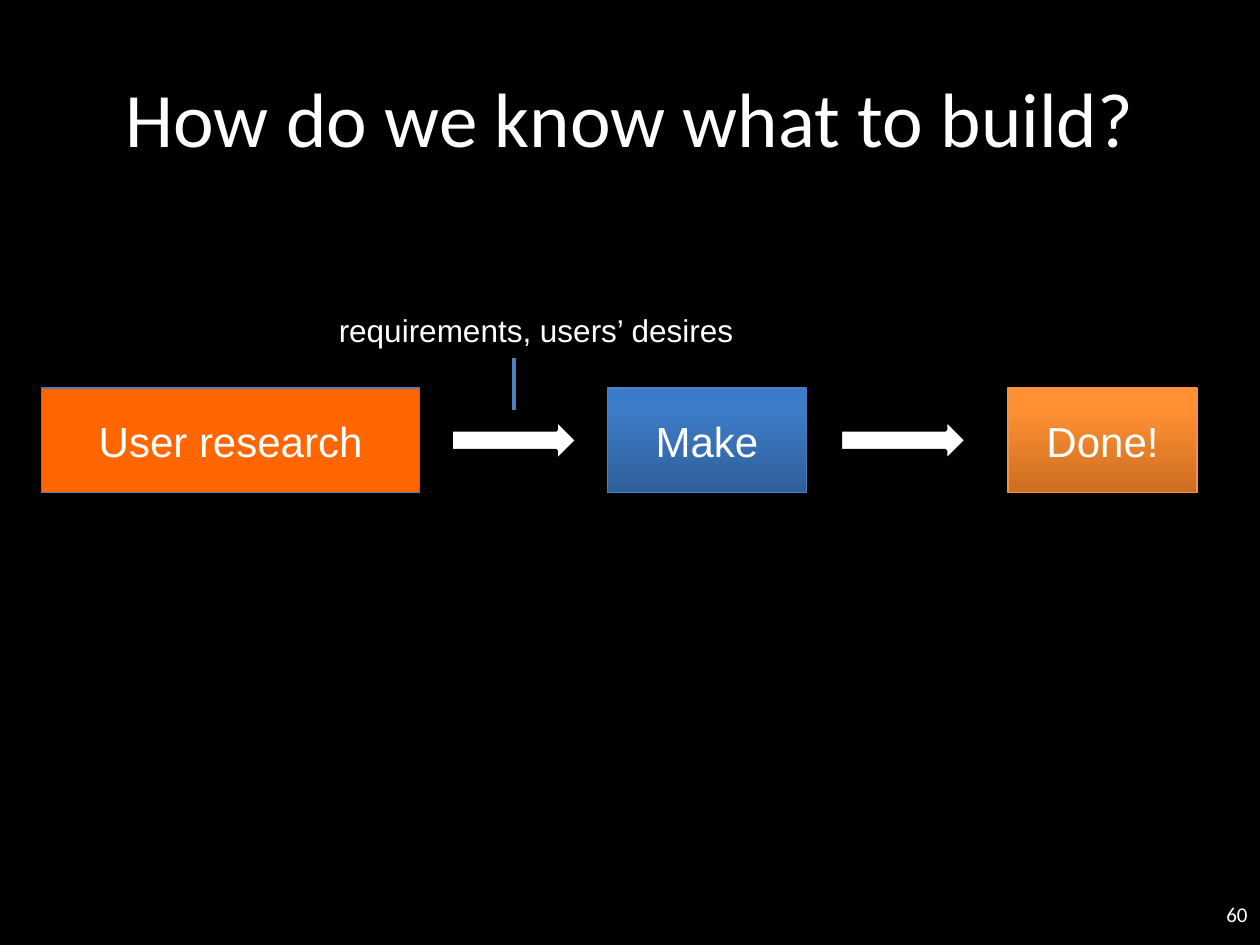
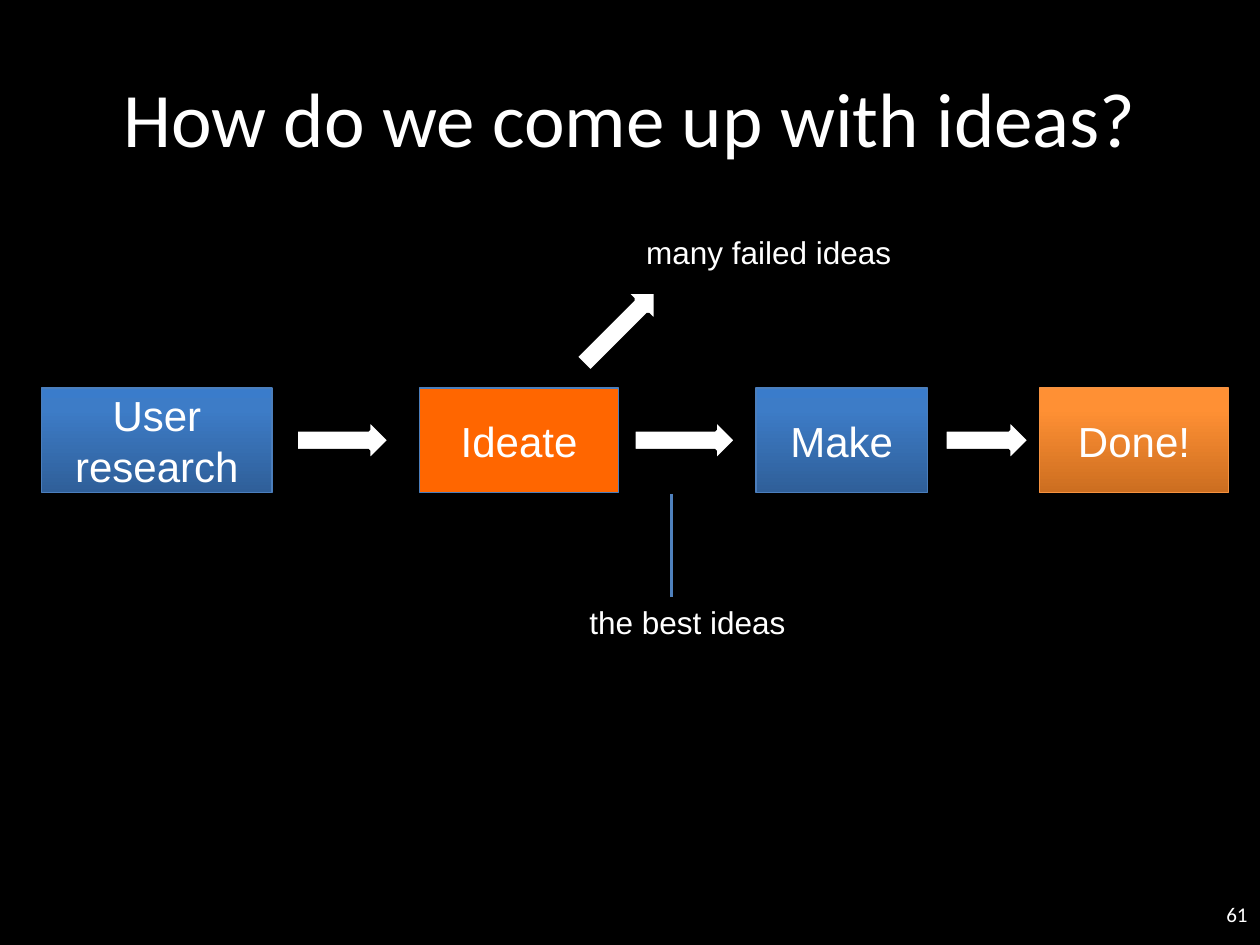
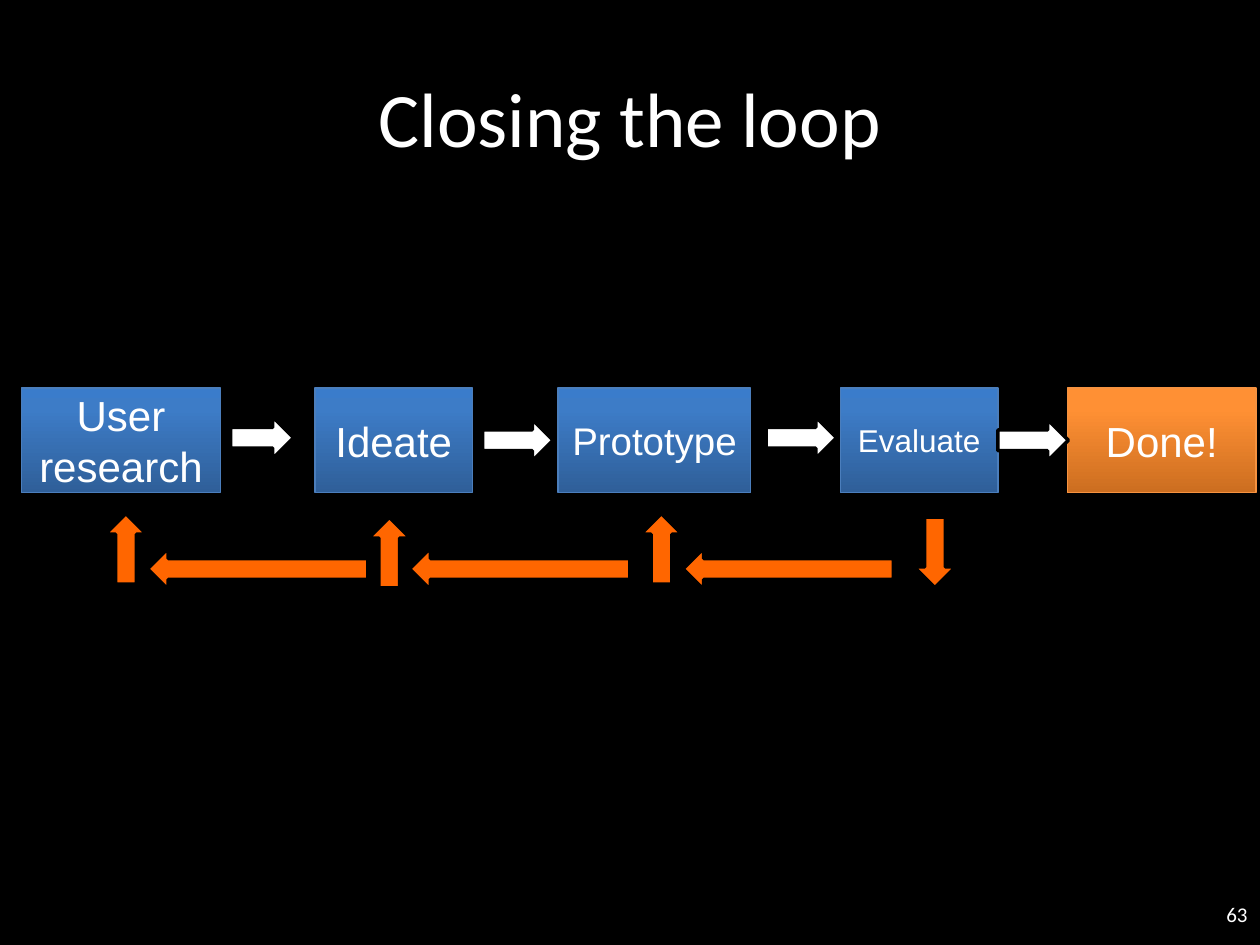
from copy import deepcopy
from dataclasses import dataclass

from pptx import Presentation
from pptx.dml.color import RGBColor
from pptx.enum.shapes import MSO_CONNECTOR, MSO_SHAPE
from pptx.enum.text import MSO_ANCHOR, MSO_AUTO_SIZE, PP_ALIGN
from pptx.oxml.ns import qn
from pptx.slide import Slide
from pptx.text.text import TextFrame
from pptx.util import Inches, Pt


# Look of the whole deck
@dataclass(frozen=True)
class Theme:
    back: str = "000000"
    ink: str = "FFFFFF"
    hot: str = "FF6600"
    edge: str = "4B7EBC"
    glow: str = "F69240"
    rule: str = "4F81BD"
    blue: tuple[str, ...] = ("2F5F99", "3D7CC7", "3A7CCB")
    amber: tuple[str, ...] = ("CC6E20", "FF9034", "FF9136")
    stops: tuple[float, ...] = (0, 0.8, 1)
    head: str = "Calibri"
    body: str = "Arial"
    title: float = 44
    step: float = 24
    snug: float = 22
    note: float = 18
    foot: float = 12


THEME = Theme()
ROW, TALL = 3.08, 0.83
MID, THICK = 3.33, 0.33
LEFT, UP, DOWN, SLANT = 180, 270, 90, 315


# Pieces of a flow, in inches
@dataclass(frozen=True)
class Step:
    text: str
    left: float
    wide: float
    fill: str | tuple[str, ...] = THEME.blue
    edge: str = THEME.edge
    size: float = THEME.step


@dataclass(frozen=True)
class Arrow:
    left: float
    wide: float
    top: float = MID
    turn: float = 0
    fill: str = THEME.ink


@dataclass(frozen=True)
class Note:
    text: str
    left: float
    top: float
    wide: float


@dataclass(frozen=True)
class Stem:
    left: float
    top: float
    base: float


@dataclass(frozen=True)
class Flow:
    title: str
    page: int
    pieces: list[Step | Arrow | Note | Stem]


def tint(code: str) -> RGBColor:
    return RGBColor.from_string(code)


def write(frame: TextFrame, text: str, size: float, face: str,
          align: PP_ALIGN = PP_ALIGN.CENTER,
          anchor: MSO_ANCHOR = MSO_ANCHOR.MIDDLE) -> None:
    frame.word_wrap = True
    frame.vertical_anchor = anchor
    para = frame.paragraphs[0]
    para.text = text
    para.alignment = align
    para.font.size = Pt(size)
    para.font.name = face
    para.font.color.rgb = tint(THEME.ink)


def add_box(slide: Slide, left: float, top: float,
            wide: float, tall: float) -> TextFrame:
    return slide.shapes.add_textbox(
        Inches(left), Inches(top), Inches(wide), Inches(tall)).text_frame


def draw_step(slide: Slide, step: Step) -> None:
    box = slide.shapes.add_shape(MSO_SHAPE.RECTANGLE, Inches(step.left),
                                 Inches(ROW), Inches(step.wide), Inches(TALL))
    box.shadow.inherit = False
    if isinstance(step.fill, str):
        box.fill.solid()
        box.fill.fore_color.rgb = tint(step.fill)
    else:
        box.fill.gradient()
        box.fill.gradient_angle = 90
        # The default blend has two stops; this one needs three
        blend = box.element.spPr.find(".//" + qn("a:gsLst"))
        blend.append(deepcopy(blend[-1]))
        for stop, place, code in zip(box.fill.gradient_stops, THEME.stops, step.fill):
            stop.position = place
            stop.color.rgb = tint(code)
    box.line.color.rgb = tint(step.edge)
    box.line.width = Pt(0.75)
    write(box.text_frame, step.text, step.size, THEME.body)


def draw_arrow(slide: Slide, arrow: Arrow) -> None:
    shape = slide.shapes.add_shape(MSO_SHAPE.RIGHT_ARROW, Inches(arrow.left),
                                   Inches(arrow.top), Inches(arrow.wide), Inches(THICK))
    shape.shadow.inherit = False
    shape.rotation = arrow.turn
    shape.fill.solid()
    shape.fill.fore_color.rgb = tint(arrow.fill)
    shape.line.color.rgb = tint(THEME.back)
    shape.line.width = Pt(2)


def draw_note(slide: Slide, note: Note) -> None:
    frame = add_box(slide, note.left, note.top, note.wide, 0.4)
    write(frame, note.text, THEME.note, THEME.body, PP_ALIGN.LEFT, MSO_ANCHOR.TOP)
    frame.auto_size = MSO_AUTO_SIZE.SHAPE_TO_FIT_TEXT


def draw_stem(slide: Slide, stem: Stem) -> None:
    line = slide.shapes.add_connector(MSO_CONNECTOR.STRAIGHT, Inches(stem.left),
                                      Inches(stem.top), Inches(stem.left),
                                      Inches(stem.base))
    line.line.color.rgb = tint(THEME.rule)
    line.line.width = Pt(2)
    props = line.element.spPr
    props.append(props.makeelement(qn("a:effectLst"), {}))


DRAW = {Step: draw_step, Arrow: draw_arrow, Note: draw_note, Stem: draw_stem}


def done(left: float) -> Step:
    return Step("Done!", left, 1.5, THEME.amber, THEME.glow)


def back(left: float, wide: float, top: float, turn: float) -> Arrow:
    return Arrow(left, wide, top, turn, THEME.hot)


# The three flows
FLOWS = [
    Flow("How do we know what to build?", 60, [
        Step("User research", 0.33, 3, THEME.hot),
        Step("Make", 4.82, 1.58),
        done(8),
        Arrow(3.58, 1),
        Arrow(6.67, 1),
        Note("requirements, users’ desires", 2.59, 2.42, 4.12),
        Stem(4.08, 2.84, 3.25),
    ]),
    Flow("How do we come up with ideas?", 61, [
        Step("User research", 0.33, 1.83),
        Step("Ideate", 3.33, 1.58, THEME.hot),
        Step("Make", 6, 1.36),
        done(8.25),
        Arrow(2.35, 0.74),
        Arrow(5.03, 0.81),
        Arrow(7.5, 0.67),
        Note("the best ideas", 4.58, 4.74, 1.77),
        Stem(5.33, 3.92, 4.74),
        Note("many failed ideas", 5.03, 1.8, 2.17),
        Arrow(4.51, 0.81, 2.44, SLANT),
    ]),
    Flow("Closing the loop", 63, [
        Step("User research", 0.17, 1.58),
        Step("Ideate", 2.5, 1.25),
        Step("Prototype", 4.43, 1.53, size=THEME.snug),
        Step("Evaluate", 6.67, 1.25, size=THEME.note),
        done(8.47),
        Arrow(1.83, 0.5, 3.31),
        Arrow(3.83, 0.56),
        Arrow(6.08, 0.56, 3.31),
        Arrow(7.92, 0.56),
        # The way back
        back(7.14, 0.56, 4.22, DOWN),
        back(5.42, 1.67, 4.35, LEFT),
        back(4.97, 0.56, 4.19, UP),
        back(3.25, 1.75, 4.35, LEFT),
        back(2.81, 0.56, 4.22, UP),
        back(1.17, 1.75, 4.35, LEFT),
        back(0.72, 0.56, 4.19, UP),
    ]),
]


def main() -> None:
    deck = Presentation()
    deck.slide_width, deck.slide_height = Inches(10), Inches(7.5)
    ground = deck.slide_master.background.fill
    ground.solid()
    ground.fore_color.rgb = tint(THEME.back)
    for flow in FLOWS:
        slide = deck.slides.add_slide(deck.slide_layouts[6])
        write(add_box(slide, 0.5, 0.3, 9, 1.25), flow.title, THEME.title, THEME.head)
        write(add_box(slide, 9.58, 7.08, 0.42, 0.35), str(flow.page),
              THEME.foot, THEME.head, PP_ALIGN.RIGHT)
        for piece in flow.pieces:
            DRAW[type(piece)](slide, piece)
    deck.save("out.pptx")


if __name__ == "__main__":
    main()
